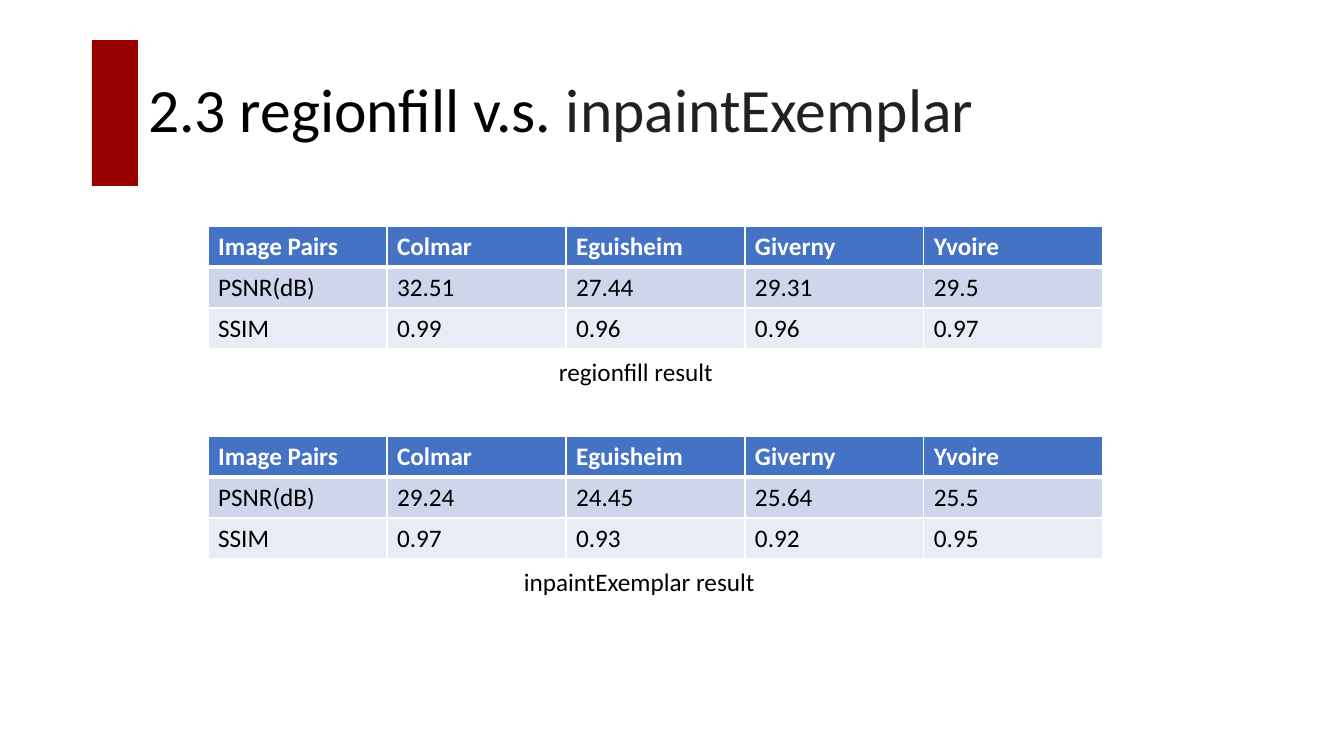
from dataclasses import dataclass

from lxml.etree import SubElement
from pptx import Presentation
from pptx.dml.color import RGBColor
from pptx.enum.shapes import MSO_SHAPE as Preset
from pptx.enum.text import MSO_ANCHOR as Anchor, MSO_AUTO_SIZE as AutoSize, PP_ALIGN as Align
from pptx.oxml.ns import qn
from pptx.util import Emu, Pt

EMU_PER_PX = 914400 / 100.8
FONT = "Calibri"
BLACK, WHITE, CHARCOAL, CRIMSON = "000000", "FFFFFF", "212121", "990000"
ROW_FILLS = ("4472C4", "CFD5EA", "E9EBF5")
HEADER = ("Image Pairs", "Colmar", "Eguisheim", "Giverny", "Yvoire")
TABLE_LEFT, COLUMN_WIDTH, ROW_HEIGHT = 208, 179, 41
FIRST_TABLE_TOP, TABLE_STEP = 226, 210
CAPTION_OFFSET, CAPTION_HEIGHT = 125, 40


@dataclass(frozen=True)
class Result:
    caption: str
    caption_left: int
    caption_width: int
    psnr: tuple[str, ...]
    ssim: tuple[str, ...]

    @property
    def rows(self) -> tuple[tuple[str, ...], ...]:
        return HEADER, ("PSNR(dB)", *self.psnr), ("SSIM", *self.ssim)


RESULTS = (
    Result("regionfill result", 549, 211,
           ("32.51", "27.44", "29.31", "29.5"), ("0.99", "0.96", "0.96", "0.97")),
    Result("inpaintExemplar result", 514, 283,
           ("29.24", "24.45", "25.64", "25.5"), ("0.97", "0.93", "0.92", "0.95")),
)


def px(length: int) -> Emu:
    return Emu(round(length * EMU_PER_PX))


def box(left: int, top: int, width: int, height: int) -> tuple[Emu, ...]:
    return px(left), px(top), px(width), px(height)


def color(value: str) -> RGBColor:
    return RGBColor.from_string(value)


def paint(target, value: str) -> None:
    target.fill.solid()
    target.fill.fore_color.rgb = color(value)


def add_text(para, text: str, *, size: int = 18, ink: str = BLACK, bold: bool = False) -> None:
    span = para.add_run()
    span.text = text
    span.font.name, span.font.size, span.font.bold = FONT, Pt(size), bold
    span.font.color.rgb = color(ink)


def set_borders(cell, **widths: int) -> None:
    """Draw white edges 1 pt wide, except where L, R, T or B gives a width."""
    properties = cell._tc.get_or_add_tcPr()
    for side in "LRTB":
        line = SubElement(properties, qn(f"a:ln{side}"), w=str(Pt(widths.get(side, 1))))
        SubElement(SubElement(line, qn("a:solidFill")), qn("a:srgbClr"), val=WHITE)


def add_title(page) -> None:
    title = page.shapes.title
    title.left, title.top, title.width, title.height = box(138, 40, 1159, 146)
    frame = title.text_frame
    frame.auto_size, frame.vertical_anchor = AutoSize.NONE, Anchor.MIDDLE
    para = frame.paragraphs[0]
    para.alignment, para.line_spacing = Align.LEFT, 0.9
    add_text(para, "2.3 regionfill v.s. ", size=44)
    add_text(para, "inpaintExemplar", size=44, ink=CHARCOAL)


def add_accent_bar(page) -> None:
    bar = page.shapes.add_shape(Preset.RECTANGLE, *box(92, 40, 46, 146))
    bar.shadow.inherit = False
    paint(bar, CRIMSON)
    bar.line.fill.background()


def add_result_table(page, result: Result, top: int) -> None:
    rows = result.rows
    area = box(TABLE_LEFT, top, COLUMN_WIDTH * len(HEADER), ROW_HEIGHT * len(rows))
    table = page.shapes.add_table(len(rows), len(HEADER), *area).table
    for row_index, (values, fill) in enumerate(zip(rows, ROW_FILLS)):
        is_header = row_index == 0
        edges = {0: {"B": 3}, 1: {"T": 3}}.get(row_index, {})
        for column_index, value in enumerate(values):
            cell = table.cell(row_index, column_index)
            set_borders(cell, **edges)
            paint(cell, fill)
            add_text(cell.text_frame.paragraphs[0], value,
                     ink=WHITE if is_header else BLACK, bold=is_header)


def add_caption(page, result: Result, top: int) -> None:
    caption = page.shapes.add_textbox(
        *box(result.caption_left, top, result.caption_width, CAPTION_HEIGHT))
    frame = caption.text_frame
    frame.word_wrap, frame.auto_size = True, AutoSize.SHAPE_TO_FIT_TEXT
    add_text(frame.paragraphs[0], result.caption)


def main() -> None:
    deck = Presentation()
    deck.slide_width, deck.slide_height = px(1344), px(756)
    page = deck.slides.add_slide(deck.slide_layouts.get_by_name("Title Only"))
    add_title(page)
    add_accent_bar(page)
    for index, result in enumerate(RESULTS):
        top = FIRST_TABLE_TOP + index * TABLE_STEP
        add_result_table(page, result, top)
        add_caption(page, result, top + CAPTION_OFFSET)
    deck.save("out.pptx")


if __name__ == "__main__":
    main()
